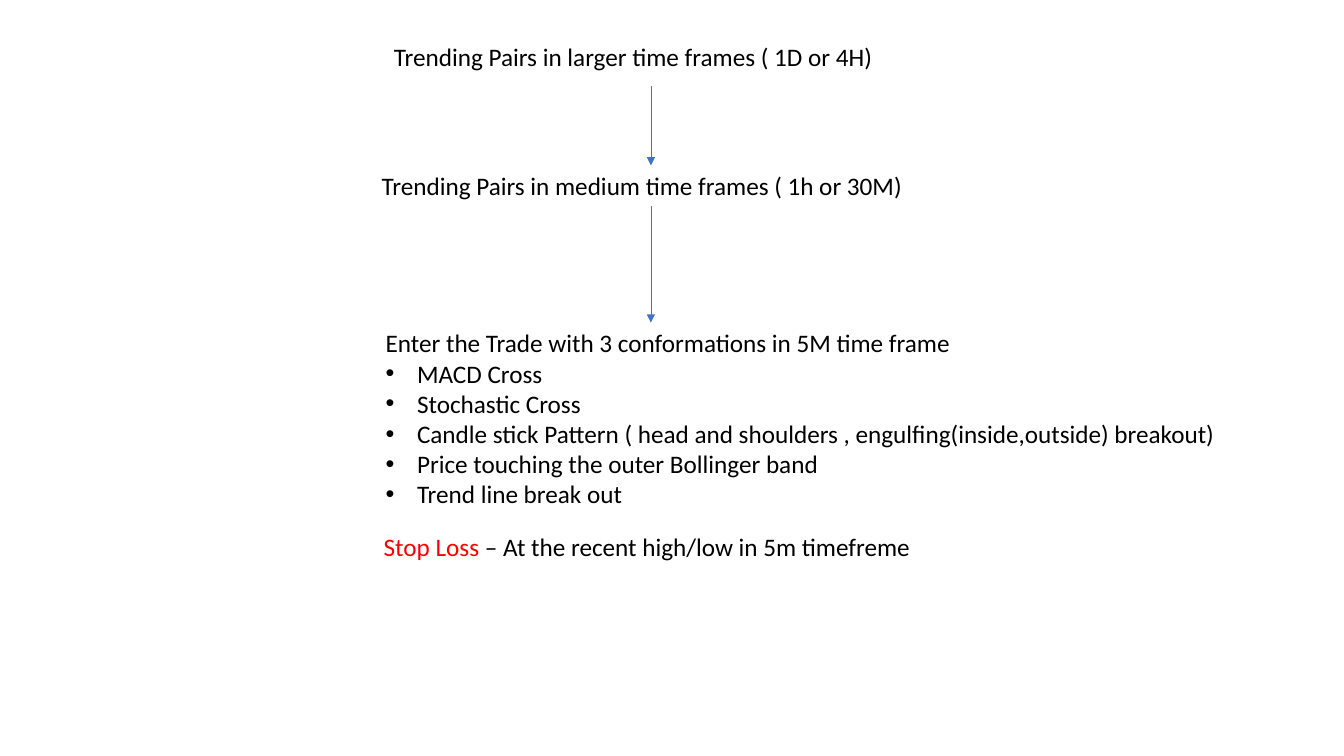
from dataclasses import dataclass

from lxml.etree import SubElement
from pptx import Presentation
from pptx.dml.color import RGBColor
from pptx.enum.shapes import MSO_CONNECTOR
from pptx.enum.text import MSO_AUTO_SIZE
from pptx.oxml.ns import qn
from pptx.util import Cm, Pt


@dataclass(frozen=True)
class Theme:
    font: str = "Calibri"
    text_size: Pt = Pt(18)
    text: RGBColor = RGBColor(0x00, 0x00, 0x00)
    warning: RGBColor = RGBColor(0xFF, 0x00, 0x00)
    arrow: RGBColor = RGBColor(0x44, 0x72, 0xC4)
    arrow_width: Pt = Pt(0.5)


theme = Theme()
presentation = Presentation()
presentation.slide_width = Cm(33.87)
presentation.slide_height = Cm(19.05)
slide = presentation.slides.add_slide(presentation.slide_layouts[6])


def add_text(left, top, width, height, text, wrap=True):
    box = slide.shapes.add_textbox(Cm(left), Cm(top), Cm(width), Cm(height))
    text_frame = box.text_frame
    text_frame.text = text
    text_frame.word_wrap = wrap
    text_frame.auto_size = MSO_AUTO_SIZE.SHAPE_TO_FIT_TEXT
    for paragraph in text_frame.paragraphs:
        for run in paragraph.runs:
            run.font.name = theme.font
            run.font.size = theme.text_size
            run.font.color.rgb = theme.text
    return box


def add_arrow(top, bottom):
    """Add a downward arrow on the centre line of the medium time frame step."""
    centre = medium_step.left + medium_step.width // 2
    arrow = slide.shapes.add_connector(MSO_CONNECTOR.STRAIGHT, centre, top, centre, bottom)
    arrow.line.color.rgb = theme.arrow
    arrow.line.width = theme.arrow_width
    SubElement(arrow.line._get_or_add_ln(), qn("a:tailEnd"), type="triangle")
    SubElement(arrow._element.spPr, qn("a:effectLst"))
    return arrow


# Steps
add_text(9.68, 0.91, 12.83, 1.02, "Trending Pairs in larger time frames ( 1D or 4H)")
medium_step = add_text(9.37, 4.17, 14.07, 1.02,
                       "Trending Pairs in medium time frames ( 1h or 30M)")
entry_lines = [
    "Enter the Trade with 3 conformations in 5M time frame",
    "MACD Cross",
    "Stochastic Cross",
    "Candle stick Pattern ( head and shoulders , engulfing(inside,outside) breakout)",
    "Price touching the outer Bollinger band",
    "Trend line break out",
]
entry_step = add_text(9.47, 8.13, 21.69, 5.64, "\n".join(entry_lines), wrap=False)

# Bullets for the confirmations below the heading line
indent = Cm(0.79)
for paragraph in entry_step.text_frame.paragraphs[1:]:
    properties = paragraph._p.get_or_add_pPr()
    properties.set("marL", str(indent))
    properties.set("indent", str(-indent))
    SubElement(properties, qn("a:buFont"), typeface="Arial")
    SubElement(properties, qn("a:buChar"), char="•")

# Arrows between the steps
arrow_to_medium = add_arrow(Cm(2.16), medium_step.top)
arrow_to_medium.end_connect(medium_step, 0)
arrow_to_entry = add_arrow(medium_step.top + medium_step.height, entry_step.top)
arrow_to_entry.begin_connect(medium_step, 2)

# Stop loss rule
stop_loss = add_text(9.42, 13.26, 13.94, 1.02, "Stop Loss ", wrap=False)
paragraph = stop_loss.text_frame.paragraphs[0]
paragraph.runs[0].font.color.rgb = theme.warning
rule = paragraph.add_run()
rule.text = "– At the recent high/low in 5m timefreme"
rule.font.name = theme.font
rule.font.size = theme.text_size
rule.font.color.rgb = theme.text

presentation.save("out.pptx")
